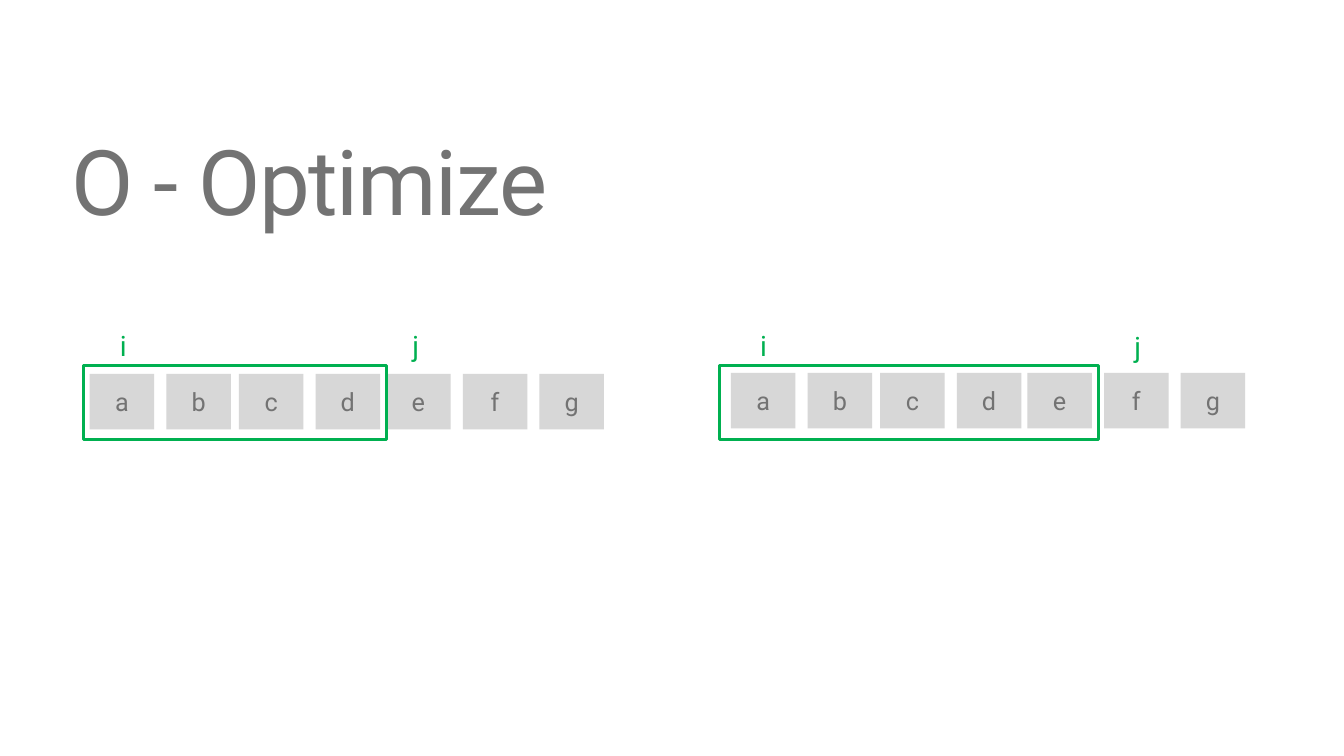
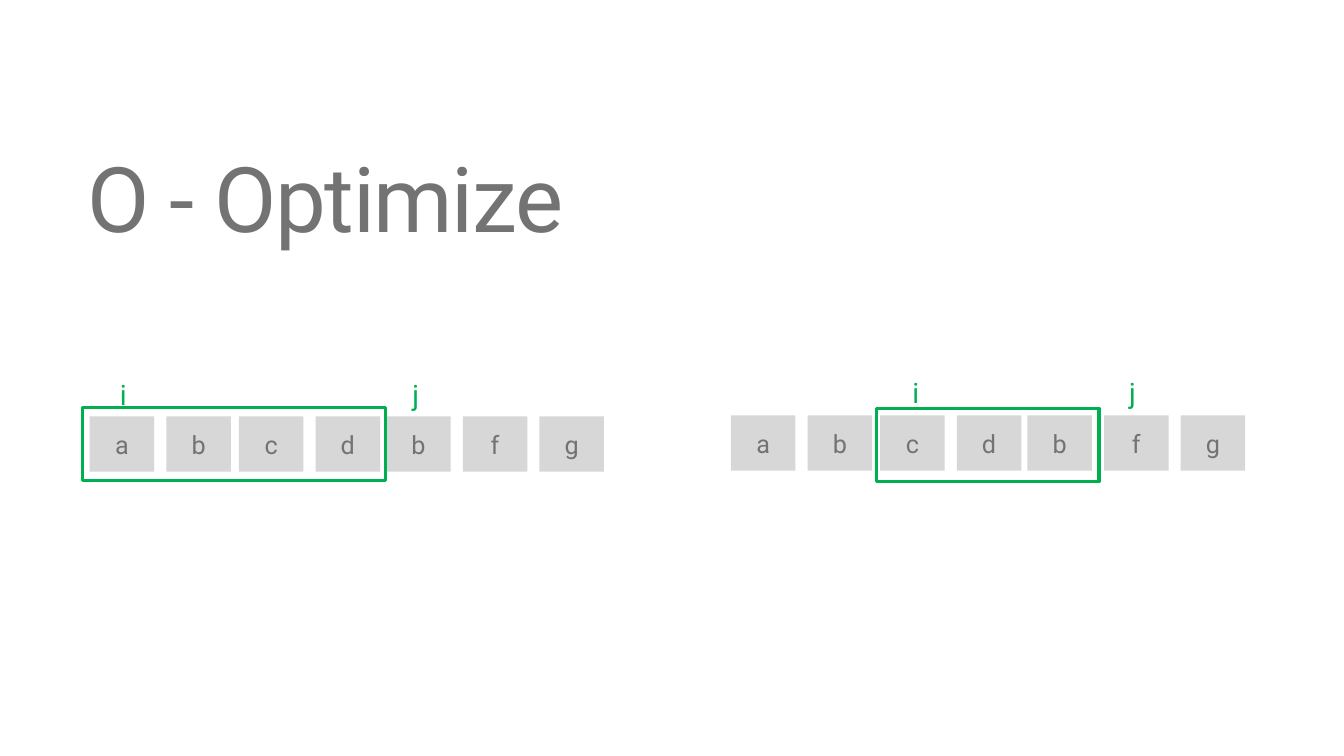
"""Builds the two sliding-window optimisation slides."""
from dataclasses import dataclass
from typing import Any

from pptx import Presentation
from pptx import util as u
from pptx.dml.color import RGBColor
from pptx.enum import shapes, text


@dataclass(frozen=True)
class Theme:
    font: str = "Roboto"
    ink: RGBColor = RGBColor(0x73, 0x73, 0x73)
    cell: RGBColor = RGBColor(0xD7, 0xD7, 0xD7)
    accent: RGBColor = RGBColor(0x00, 0xB0, 0x50)
    title_size: float = 64.7
    cell_size: float = 18
    pointer_size: float = 20
    frame_width: float = 2.25


@dataclass(frozen=True)
class Pointer:
    name: str
    left: float
    top: float


@dataclass(frozen=True)
class Window:
    left: float
    top: float
    width: float


@dataclass(frozen=True)
class Row:
    letters: str
    left: float
    top: float
    window: Window
    pointers: tuple[Pointer, ...]


@dataclass(frozen=True)
class Step:
    title_left: float
    title_top: float
    rows: tuple[Row, ...]


THEME = Theme()
TITLE = "O - Optimize"
CELL_OFFSETS = (0, 0.76, 1.48, 2.24, 2.94, 3.7, 4.46)
CELL_WIDTH, CELL_HEIGHT = 0.64, 0.55
WINDOW_HEIGHT = 0.73

STEPS = (
    Step(0.55, 1.28, (
        Row("abcdefg", 0.89, 3.71, Window(0.83, 3.63, 3),
            (Pointer("i", 1.03, 3.13), Pointer("j", 3.93, 3.13))),
        Row("abcdefg", 7.25, 3.7, Window(7.14, 3.63, 3.76),
            (Pointer("i", 7.38, 3.13), Pointer("j", 11.09, 3.14))),
    )),
    Step(0.71, 1.45, (
        Row("abcdbfg", 0.89, 4.13, Window(0.82, 4.04, 3),
            (Pointer("i", 1.03, 3.61), Pointer("j", 3.93, 3.61))),
        Row("abcdbfg", 7.25, 4.12, Window(8.69, 4.05, 2.21),
            (Pointer("i", 8.89, 3.59), Pointer("j", 11.04, 3.59))),
    )),
)


def apply(target: Any, values: dict[str, Any]) -> None:
    """Set each named attribute on the target."""
    for name, value in values.items():
        setattr(target, name, value)


def box(left: float, top: float, width: float, height: float) -> tuple[u.Length, ...]:
    """Convert a box in inches to lengths."""
    return tuple(u.Inches(value) for value in (left, top, width, height))


def margins(left: float, top: float, right: float, bottom: float) -> dict[str, u.Length]:
    """Name the four text insets."""
    names = ("margin_left", "margin_top", "margin_right", "margin_bottom")
    return dict(zip(names, box(left, top, right, bottom)))


def write(frame: Any, wording: str, size: float, color: RGBColor,
          frame_format: dict[str, Any], paragraph_format: dict[str, Any],
          tracking: float = 0) -> None:
    """Fill a text frame with one formatted run."""
    apply(frame, {"word_wrap": True, "auto_size": text.MSO_AUTO_SIZE.NONE, **frame_format})
    paragraph = frame.paragraphs[0]
    apply(paragraph, paragraph_format)
    run = paragraph.add_run()
    run.text = wording
    apply(run.font, {"name": THEME.font, "size": u.Pt(size)})
    run.font.color.rgb = color
    if tracking:
        run._r.get_or_add_rPr().set("spc", str(round(tracking * 100)))


def draw_title(slide: Any, step: Step) -> None:
    """Place and format the slide title."""
    title = slide.shapes.title
    position = box(step.title_left, step.title_top, 11.53, 1.25)
    apply(title, dict(zip(("left", "top", "width", "height"), position)))
    write(title.text_frame, TITLE, THEME.title_size, THEME.ink,
          {"vertical_anchor": text.MSO_ANCHOR.TOP, **margins(0.16, 0.08, 0.16, 0.08)},
          {"alignment": text.PP_ALIGN.LEFT, "line_spacing": 0.9}, tracking=-1)


def add_rectangle(slide: Any, position: tuple[u.Length, ...]) -> Any:
    """Add a rectangle without a shadow."""
    rectangle = slide.shapes.add_shape(shapes.MSO_SHAPE.RECTANGLE, *position)
    rectangle.shadow.inherit = False
    return rectangle


def draw_cell(slide: Any, letter: str, left: float, top: float) -> None:
    """Draw one letter of the string."""
    cell = add_rectangle(slide, box(left, top, CELL_WIDTH, CELL_HEIGHT))
    cell.fill.solid()
    cell.fill.fore_color.rgb = THEME.cell
    cell.line.fill.background()
    write(cell.text_frame, letter, THEME.cell_size, THEME.ink,
          {"vertical_anchor": text.MSO_ANCHOR.MIDDLE},
          {"alignment": text.PP_ALIGN.CENTER})


def draw_window(slide: Any, window: Window) -> None:
    """Outline the letters inside the window."""
    outline = add_rectangle(slide, box(window.left, window.top, window.width, WINDOW_HEIGHT))
    outline.fill.background()
    outline.line.color.rgb = THEME.accent
    outline.line.width = u.Pt(THEME.frame_width)


def draw_pointer(slide: Any, pointer: Pointer) -> None:
    """Write an index name above the string."""
    label = slide.shapes.add_textbox(*box(pointer.left, pointer.top, 1.42, 0.36))
    write(label.text_frame, pointer.name, THEME.pointer_size, THEME.accent,
          margins(0.16, 0.1, 0, 0), {"line_spacing": 1.1}, tracking=0.5)


def draw_row(slide: Any, row: Row) -> None:
    """Draw a string with its window and pointers."""
    for letter, offset in zip(row.letters, CELL_OFFSETS):
        draw_cell(slide, letter, row.left + offset, row.top)
    draw_window(slide, row.window)
    for pointer in row.pointers:
        draw_pointer(slide, pointer)


def main() -> None:
    """Build and save the presentation."""
    deck = Presentation()
    apply(deck, {"slide_width": u.Inches(13.33), "slide_height": u.Inches(7.5)})
    title_only = deck.slide_layouts.get_by_name("Title Only")
    for step in STEPS:
        slide = deck.slides.add_slide(title_only)
        draw_title(slide, step)
        for row in step.rows:
            draw_row(slide, row)
    deck.save("out.pptx")


if __name__ == "__main__":
    main()
